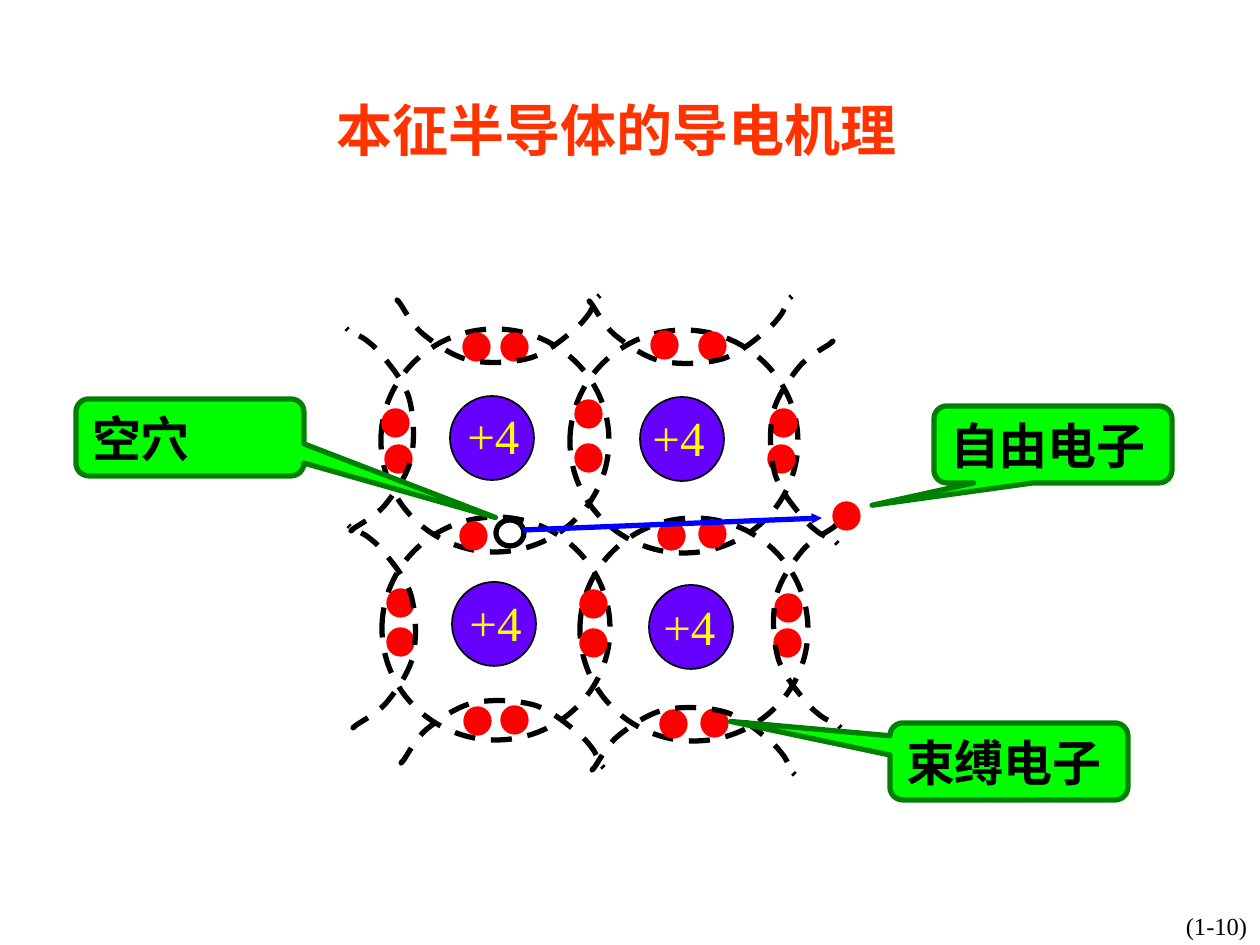
import dataclasses

import lxml.etree
import pptx
import pptx.dml.color
import pptx.enum.dml
import pptx.enum.shapes
import pptx.enum.text
import pptx.oxml.ns
import pptx.util

SCALE = 914400 / 126
SHAPE = pptx.enum.shapes.MSO_SHAPE
ALIGN = pptx.enum.text.PP_ALIGN
ANCHOR = pptx.enum.text.MSO_ANCHOR


@dataclasses.dataclass(frozen=True)
class Theme:
    font: str = "Times New Roman"
    title: str = "FF3300"
    ink: str = "000000"
    paper: str = "FFFFFF"
    electron: str = "FF0000"
    core: str = "6600FF"
    charge: str = "FFFF00"
    callout: str = "00FF00"
    callout_edge: str = "008000"
    arrow: str = "0000FF"
    title_size: int = 32
    label_size: int = 28
    page_size: int = 14
    thick: int = 3
    thin: int = 1


THEME = Theme()

ATOMS = [
    ((450, 396), (381, 329), (455, 399)),
    ((640, 397), (570, 330), (640, 401)),
    ((452, 582), (382, 517), (457, 586)),
    ((649, 585), (580, 518), (651, 590)),
]
ELECTRONS = [
    (465, 335), (503, 335), (653, 333), (701, 334),
    (384, 411), (387, 447), (577, 402), (577, 446), (772, 411), (770, 447),
    (462, 524), (660, 524), (701, 522),
    (389, 591), (389, 630), (582, 592), (582, 631), (777, 596), (776, 631),
    (466, 709), (503, 708), (662, 712), (703, 711),
]
FREE_ELECTRON = (835, 504)

ARC = [
    (62, 4), (62, 3), (67, 0), (62, 4), (57, 8), (40, 16), (30, 28),
    (21, 39), (8, 57), (4, 74), (0, 92), (1, 117), (6, 135),
    (11, 152), (26, 169), (34, 179), (42, 188), (44, 189), (49, 193),
    (54, 197), (63, 200), (67, 203), (69, 204), (69, 205), (69, 205),
    (69, 205), (67, 203), (67, 203),
]
RIGHT = ((1, 0), (0, 1))
LEFT = ((-1, 0), (0, -1))
TOP = ((0, -1), (1, 0))
BOTTOM = ((0, 1), (1, 0))
BONDS = [
    ((769, 339), RIGHT), ((772, 523), RIGHT),
    ((395, 364), TOP), ((587, 365), TOP),
    ((399, 699), BOTTOM), ((590, 706), BOTTOM),
    ((415, 533), LEFT), ((417, 730), LEFT),
]
CALLOUTS = [
    ("自由电子", (934, 406, 238, 77), (-0.76, 0.79), False),
    ("空穴", (76, 399, 228, 77), (1.34, 1.04), True),
    ("束缚电子", (890, 723, 238, 77), (-1.17, -0.52), False),
]


def px(*values):
    return [pptx.util.Emu(round(v * SCALE)) for v in values]


def rgb(color):
    return pptx.dml.color.RGBColor.from_string(color)


def set_line(line, color, width, dashed=False):
    line.color.rgb = rgb(color)
    line.width = pptx.util.Pt(width)
    if dashed:
        line.dash_style = pptx.enum.dml.MSO_LINE.DASH


def set_text(s, text, size, color, bold=False, align=ALIGN.LEFT, anchor=ANCHOR.MIDDLE, wrap=True):
    tf = s.text_frame
    tf.word_wrap = wrap
    tf.vertical_anchor = anchor
    p = tf.paragraphs[0]
    p.alignment = align
    r = p.add_run()
    r.text = text
    r.font.name = THEME.font
    r.font.size = pptx.util.Pt(size)
    r.font.bold = bold
    r.font.color.rgb = rgb(color)


def add_text(sp, box, text, size, color, **options):
    set_text(sp.add_textbox(*px(*box)), text, size, color, **options)


def add_preset(sp, kind, box, fill, edge, width, dashed=False):
    s = sp.add_shape(kind, *px(*box))
    s.shadow.inherit = False
    if fill:
        s.fill.solid()
        s.fill.fore_color.rgb = rgb(fill)
    else:
        s.fill.background()
    set_line(s.line, edge, width, dashed)
    return s


def add_electron(sp, at):
    add_preset(sp, SHAPE.OVAL, (*at, 23, 24), THEME.electron, THEME.electron, THEME.thick)


def add_bond(sp, origin, axes):
    (ux, uy), (vx, vy) = axes
    points = [(origin[0] + u * ux + v * vx, origin[1] + u * uy + v * vy) for u, v in ARC]
    builder = sp.build_freeform(*points[0], scale=SCALE)
    builder.add_line_segments(points[1:], close=False)
    s = builder.convert_to_shape()
    s.shadow.inherit = False
    s.fill.background()
    set_line(s.line, THEME.ink, THEME.thick, dashed=True)
    outline = s._element.xpath(".//a:path")[0]
    segments = outline.findall(pptx.oxml.ns.qn("a:lnTo"))
    for i in range(0, len(segments), 3):
        curve = lxml.etree.SubElement(outline, pptx.oxml.ns.qn("a:cubicBezTo"))
        for segment in segments[i:i + 3]:
            curve.append(segment[0])
            outline.remove(segment)


def add_arrow(sp, start, end):
    kind = pptx.enum.shapes.MSO_CONNECTOR.STRAIGHT
    s = sp.add_connector(kind, *px(*start, *end))
    set_line(s.line, THEME.arrow, THEME.thick)
    lxml.etree.SubElement(s.line._get_or_add_ln(), pptx.oxml.ns.qn("a:tailEnd"),
                          type="triangle", w="sm", len="sm")
    lxml.etree.SubElement(s._element.spPr, pptx.oxml.ns.qn("a:effectLst"))


def add_callout(sp, text, box, tip, wrap):
    s = add_preset(sp, SHAPE.ROUNDED_RECTANGULAR_CALLOUT, box,
                   THEME.callout, THEME.callout_edge, THEME.thick)
    s.adjustments[0], s.adjustments[1] = tip
    set_text(s, text, THEME.label_size, THEME.ink, bold=True, wrap=wrap)


def main():
    prs = pptx.Presentation()
    prs.slide_width, prs.slide_height = px(1260, 945)
    sp = prs.slides.add_slide(prs.slide_layouts[6]).shapes

    add_text(sp, (1095, 905, 243, 42), "(1-10)", THEME.page_size, THEME.ink, align=ALIGN.CENTER)
    for core, shell, _ in ATOMS:
        add_preset(sp, SHAPE.OVAL, (*core, 84, 84), THEME.core, THEME.ink, THEME.thin)
        add_preset(sp, SHAPE.OVAL, (*shell, 228, 223), None, THEME.ink, THEME.thick, dashed=True)
    for at in ELECTRONS:
        add_electron(sp, at)
    for origin, axes in BONDS:
        add_bond(sp, origin, axes)
    for _, _, label in ATOMS:
        add_text(sp, (*label, 97, 72), "+4", THEME.label_size, THEME.charge, anchor=ANCHOR.TOP)

    add_text(sp, (324, 89, 586, 81), "本征半导体的导电机理", THEME.title_size, THEME.title,
             bold=True, align=ALIGN.CENTER, wrap=False)
    add_electron(sp, FREE_ELECTRON)
    add_preset(sp, SHAPE.OVAL, (496, 520, 28, 26), THEME.paper, THEME.ink, THEME.thick)
    add_arrow(sp, (523, 530), (822, 518))
    for callout in CALLOUTS:
        add_callout(sp, *callout)
    prs.save("out.pptx")


if __name__ == "__main__":
    main()
